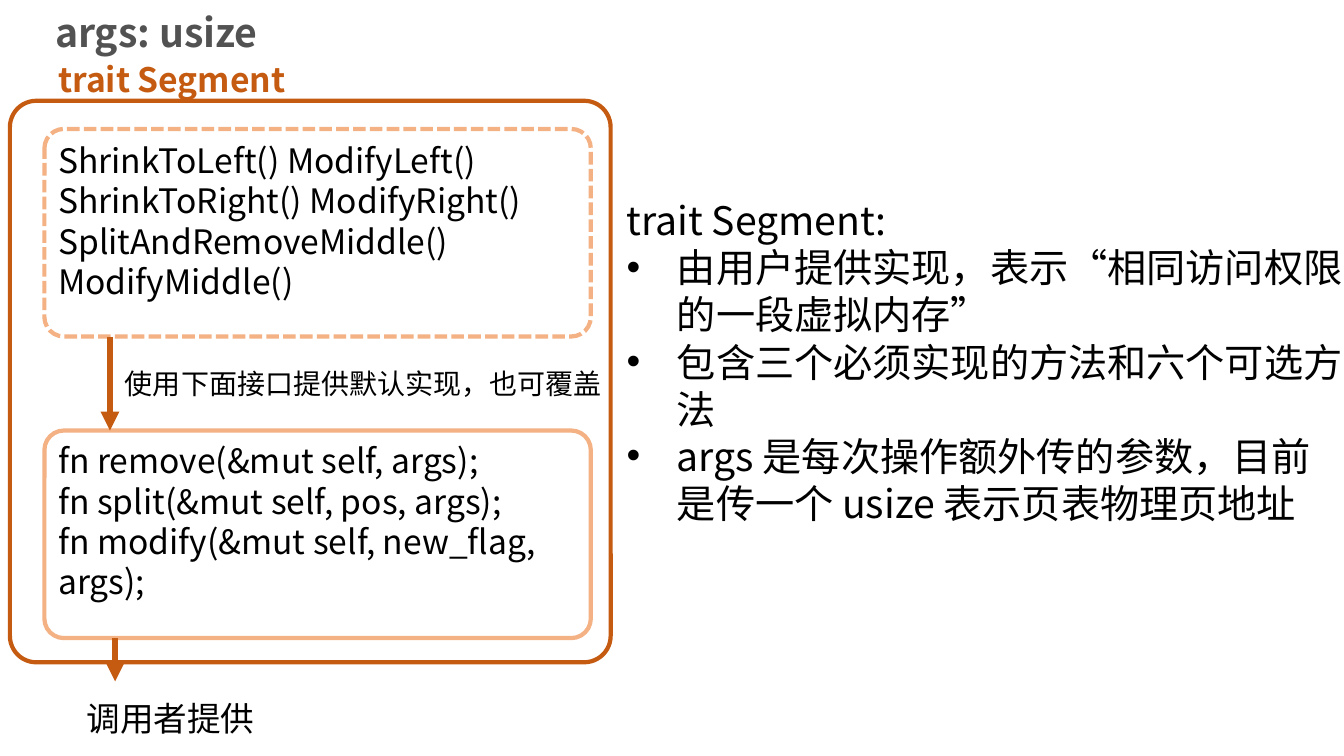
import pptx
import pptx.util
import pptx.dml.color
import pptx.enum.dml
import pptx.enum.shapes
import pptx.oxml
import pptx.oxml.ns
from pptx.util import Cm, Pt

FONT = "Noto Sans CJK SC"
HEX = {"dark": "C55A11", "light": "F4B183", "grey": "525252", "black": "000000"}
RGB = {name: pptx.dml.color.RGBColor.from_string(code) for name, code in HEX.items()}
NS = pptx.oxml.ns.nsdecls("a")

deck = pptx.Presentation()
deck.slide_width, deck.slide_height = Cm(33.87), Cm(19.05)
slide = deck.slides.add_slide(deck.slide_layouts[6])


def add_text(place, lines, size, color="black", bold=False):
    """Add a text box at place (left, top, width, height in cm), a paragraph per line."""
    box = slide.shapes.add_textbox(*map(Cm, place))
    frame = box.text_frame
    frame.word_wrap = True
    frame.text = "\n".join(lines)
    look = {"name": FONT, "size": Pt(size), "bold": bold}
    for par in frame.paragraphs:
        for run in par.runs:
            for key, value in look.items():
                setattr(run.font, key, value)
            run.font.color.rgb = RGB[color]
            run.font._element.append(
                pptx.oxml.parse_xml(f'<a:ea {NS} typeface="{FONT}"/>'))
    return frame


# Frames: the whole trait, its optional methods, its required methods
frames = [
    ((0.25, 2.54, 15.14, 14.15), 0.047, "dark", None),
    ((1.12, 3.25, 13.77, 5.23), 0.094, "light", pptx.enum.dml.MSO_LINE.SQUARE_DOT),
    ((1.12, 10.85, 13.77, 5.23), 0.094, "light", None),
]
for place, bend, color, dash in frames:
    frame = slide.shapes.add_shape(
        pptx.enum.shapes.MSO_SHAPE.ROUNDED_RECTANGLE, *map(Cm, place))
    frame.adjustments[0] = bend
    frame.shadow.inherit = False
    frame.fill.background()
    frame.line.color.rgb = RGB[color]
    frame.line.width = Pt(3)
    if dash:
        frame.line.dash_style = dash
        mark = frame.line._ln.find(pptx.oxml.ns.qn("a:prstDash"))
        mark.set("val", "sysDash")

# Arrows: x, top, bottom
for x, top, end in [(2.77, 8.5, 10.85), (2.9, 16.08, 17.17)]:
    arrow = slide.shapes.add_connector(
        pptx.enum.shapes.MSO_CONNECTOR.STRAIGHT, Cm(x), Cm(top), Cm(x), Cm(end))
    arrow.line.color.rgb = RGB["dark"]
    arrow.line.width = Pt(4.5)
    arrow.line._ln.append(pptx.oxml.parse_xml(f'<a:tailEnd {NS} type="triangle"/>'))
    arrow._element.spPr.append(pptx.oxml.parse_xml(f"<a:effectLst {NS}/>"))

add_text((1.14, 0.08, 5.82, 1.45), ["args: usize"], 28, "grey", True)
add_text((1.22, 1.35, 11.58, 1.27), ["trait Segment"], 24, "dark", True)
add_text((1.22, 3.4, 13.67, 4.37), [
    "ShrinkToLeft() ModifyLeft()",
    "ShrinkToRight() ModifyRight()",
    "SplitAndRemoveMiddle()",
    "ModifyMiddle()",
], 24)
add_text((2.9, 9.12, 13.77, 1.12), ["使用下面接口提供默认实现，也可覆盖"], 20)
add_text((1.22, 10.97, 13.67, 3.33), [
    "fn remove(&mut self, args);",
    "fn split(&mut self, pos, args);",
    "fn modify(&mut self, new_flag, args);",
], 24)
add_text((1.93, 17.45, 5.64, 1.27), ["调用者提供"], 24)

notes = add_text((15.54, 4.83, 18.62, 8.64), [
    "trait Segment:",
    "由用户提供实现，表示“相同访问权限的一段虚拟内存”",
    "包含三个必须实现的方法和六个可选方法",
    "args 是每次操作额外传的参数，目前是传一个 usize 表示页表物理页地址",
], 28)
for par in notes.paragraphs[1:]:
    props = par._p.get_or_add_pPr()
    props.set("marL", str(Cm(1.27)))
    props.set("indent", str(-Cm(1.27)))
    for tag in (f'<a:buFont {NS} typeface="Arial"/>', f'<a:buChar {NS} char="•"/>'):
        props.append(pptx.oxml.parse_xml(tag))

deck.save("out.pptx")
